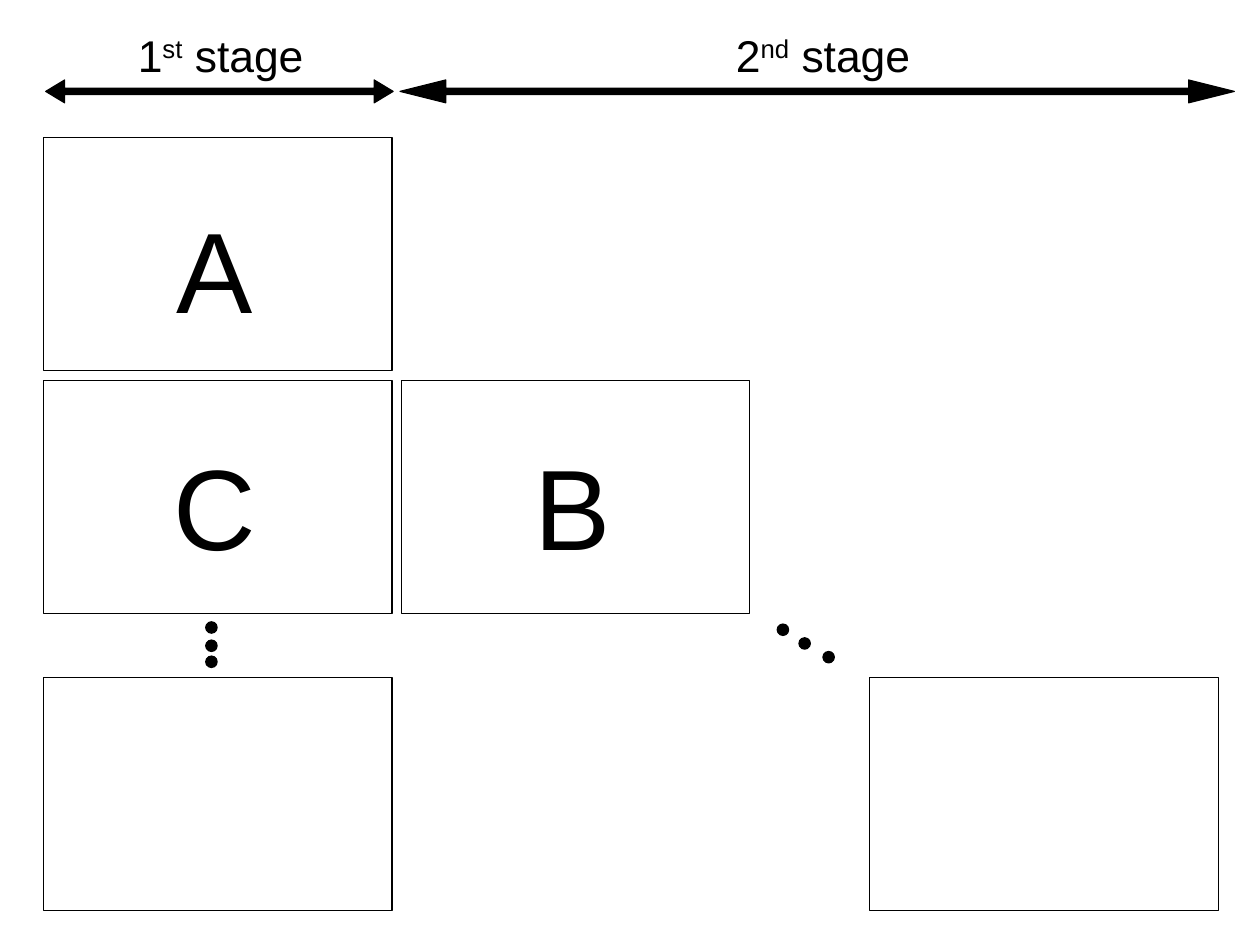
from pptx import Presentation
from pptx.dml.color import RGBColor
from pptx.enum.shapes import MSO_SHAPE as Shape
from pptx.enum.text import MSO_ANCHOR as Anchor, MSO_AUTO_SIZE as AutoSize, PP_ALIGN as Align
from pptx.util import Cm, Inches, Pt

BLACK = RGBColor(0x00, 0x00, 0x00)


class StageDiagram:
    font_name = "Arial"
    left, top = 0.38, 1.2
    column_step, row_step = 3.13, 2.13
    cell_width, cell_height = 3.05, 2.04
    dot_size = 0.1

    def __init__(self, deck):
        self.page = deck.slides.add_slide(deck.slide_layouts[6])

    def corner(self, column, row):
        return self.left + column * self.column_step, self.top + row * self.row_step

    def shape(self, kind, x, y, width, height, fill=None):
        shape = self.page.shapes.add_shape(kind, *map(Inches, (x, y, width, height)))
        shape.shadow.inherit = False
        if fill is None:
            shape.fill.background()
        else:
            shape.fill.solid()
            shape.fill.fore_color.rgb = fill
        shape.line.color.rgb = BLACK
        shape.line.width = Pt(0)
        return shape

    def cell(self, column, row):
        x, y = self.corner(column, row)
        self.shape(Shape.RECTANGLE, x, y, self.cell_width, self.cell_height)

    def text(self, x, y, width, height, size, spans):
        box = self.page.shapes.add_textbox(*map(Inches, (x, y, width, height)))
        frame = box.text_frame
        frame.word_wrap = True
        frame.auto_size = AutoSize.SHAPE_TO_FIT_TEXT
        frame.vertical_anchor = Anchor.TOP
        para = frame.paragraphs[0]
        para.alignment = Align.CENTER
        para.font.name = self.font_name
        para.font.size = Pt(size)
        para.font.color.rgb = BLACK
        for words, raised in spans:
            span = para.add_run()
            span.text = words
            if raised:
                span.font._element.set("baseline", "33000")

    def letter(self, letter, column, row, drop):
        x, y = self.corner(column, row)
        self.text(x + 0.74, y + drop, 1.52, 1.24, 72, [(letter, False)])

    def stage_arrow(self, x, width, head):
        arrow = self.shape(Shape.LEFT_RIGHT_ARROW, x, 0.7, width, 0.2, BLACK)
        arrow.adjustments[0] = 0.285
        arrow.adjustments[1] = head

    def stage_title(self, x, number, ending):
        spans = [(number, False), (ending, True), (" stage", False)]
        self.text(x, 0.2, 2.22, 0.7, 28, spans)

    def dots(self, places):
        for x, y in places:
            self.shape(Shape.OVAL, x, y, self.dot_size, self.dot_size, BLACK)


def main():
    deck = Presentation()
    deck.slide_width, deck.slide_height = Cm(28), Cm(21)
    diagram = StageDiagram(deck)

    last_column, last_row = 2.31, 2.22
    for column, row in [(0, 0), (0, 1), (0, last_row), (1, 1), (last_column, last_row)]:
        diagram.cell(column, row)
    for letter, column, row, drop in [("A", 0, 0, 0.49), ("C", 0, 1, 0.44), ("B", 1, 1, 0.44)]:
        diagram.letter(letter, column, row, drop)

    diagram.stage_arrow(0.4, 3.04, 0.83)
    diagram.stage_arrow(3.5, 7.3, 2)
    diagram.dots([(1.8, 5.44), (1.8, 5.6), (1.8, 5.74)])
    diagram.dots([(6.8, 5.46), (6.99, 5.58), (7.2, 5.7)])
    diagram.stage_title(0.82, "1", "st")
    diagram.stage_title(6.09, "2", "nd")

    deck.save("out.pptx")


if __name__ == "__main__":
    main()
